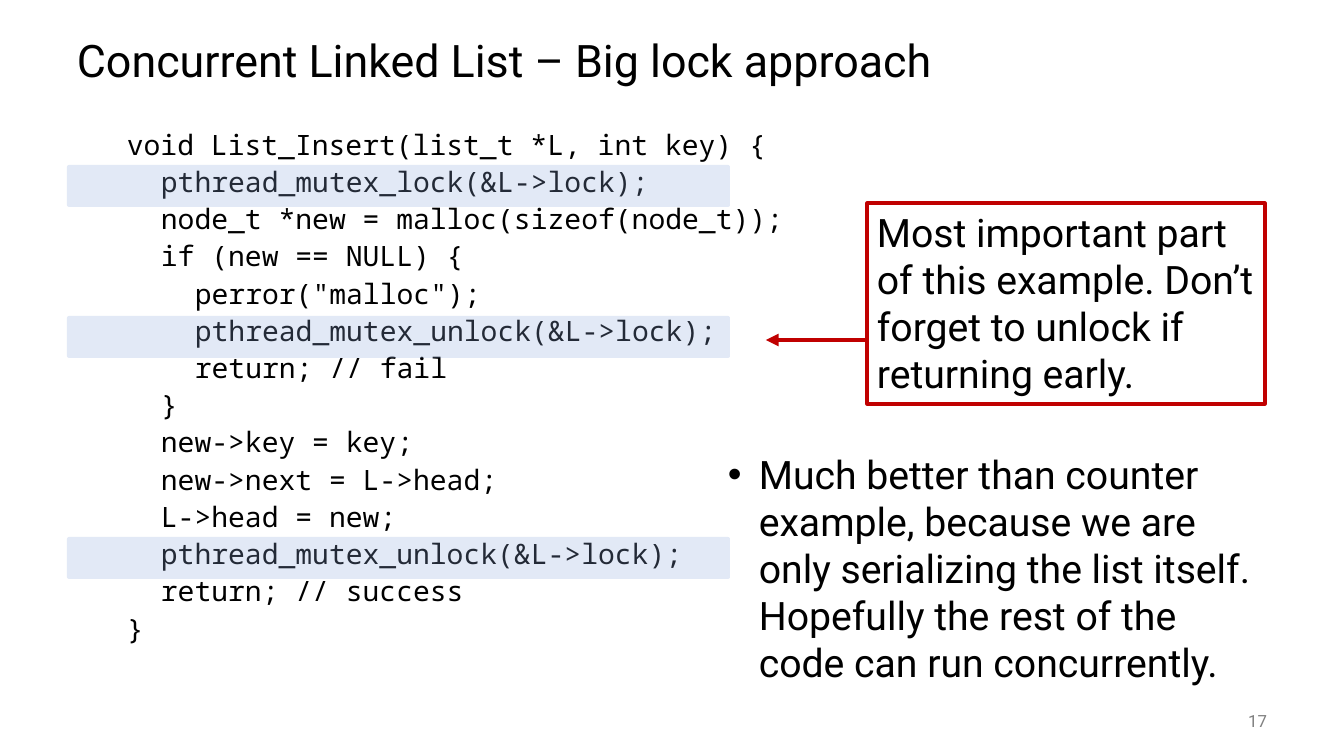
from lxml.etree import SubElement as Sub
from pptx import Presentation as Deck
from pptx.dml.color import RGBColor as RGB
from pptx.enum.shapes import MSO_CONNECTOR as Con, MSO_SHAPE as Geo
from pptx.enum.text import MSO_ANCHOR as Anchor, PP_ALIGN as Align
from pptx.oxml.ns import qn
from pptx.util import Pt

TITLE = "Concurrent Linked List – Big lock approach"
CODE = [
    (0, "void List_Insert(list_t *L, int key) {"),
    (1, "pthread_mutex_lock(&L->lock);"),
    (1, "node_t *new = malloc(sizeof(node_t));"),
    (1, "if (new == NULL) {"),
    (2, 'perror("malloc");'),
    (2, "pthread_mutex_unlock(&L->lock);"),
    (2, "return; // fail"),
    (1, "}"),
    (1, "new->key = key;"),
    (1, "new->next = L->head;"),
    (1, "L->head = new;"),
    (1, "pthread_mutex_unlock(&L->lock);"),
    (1, "return; // success"),
    (0, "}"),
]
ALERT = ("Most important part of this example. Don’t forget to unlock "
         "if returning early.")
POINT = ("Much better than counter example, because we are only serializing "
         "the list itself. Hopefully the rest of the code can run concurrently.")
PAGE = "17"
LOCKS = (165, 316, 537)

SANS, MONO = "Roboto", "Noto Sans Mono"
BLACK = RGB(0, 0, 0)
GRAY = RGB(128, 128, 128)
RED = RGB(192, 0, 0)
BLUE = RGB(143, 170, 220)

LEFT, WIDE = 67, 1210
BASE, STEP = 50, 34
HANG = 31


def px(n):
    return round(n * 914400 / 100.8)


def write(para, text, size, font=SANS, color=BLACK):
    run = para.add_run()
    run.text = text
    run.font.size = Pt(size)
    run.font.name = font
    run.font.color.rgb = color


def box(x, y, w, h, anchor=Anchor.TOP):
    item = slide.shapes.add_textbox(px(x), px(y), px(w), px(h))
    frame = item.text_frame
    frame.word_wrap = True
    frame.vertical_anchor = anchor
    return item, frame


def indent(para, left, first=0):
    props = para._p.get_or_add_pPr()
    props.set("marL", str(px(left)))
    props.set("indent", str(px(first)))
    return props


deck = Deck()
deck.slide_width, deck.slide_height = px(1344), px(756)
slide = deck.slides.add_slide(deck.slide_layouts[6])

_, frame = box(LEFT, 25, WIDE, 76, Anchor.MIDDLE)
para = frame.paragraphs[0]
para.line_spacing = 0.9
write(para, TITLE, 32)

_, frame = box(LEFT, 126, WIDE, 554)
for row, (depth, text) in enumerate(CODE):
    para = frame.add_paragraph() if row else frame.paragraphs[0]
    para.line_spacing = 0.9
    para.space_before = Pt(5)
    indent(para, BASE + depth * STEP)
    write(para, text, 20, MONO)

_, frame = box(1176, 701, 101, 40, Anchor.MIDDLE)
para = frame.paragraphs[0]
para.alignment = Align.RIGHT
write(para, PAGE, 12, color=GRAY)

for top in LOCKS:
    bar = slide.shapes.add_shape(
        Geo.ROUNDED_RECTANGLE, px(LEFT), px(top), px(663), px(42))
    bar.adjustments[0] = 0.05
    bar.shadow.inherit = False
    bar.line.fill.background()
    bar.fill.solid()
    bar.fill.fore_color.rgb = BLUE
    tint = bar.fill._xPr.find(qn("a:solidFill"))[0]
    Sub(tint, qn("a:alpha"), val="25000")

alert, frame = box(867, 203, 398, 201)
alert.line.color.rgb = RED
alert.line.width = Pt(2.25)
write(frame.paragraphs[0], ALERT, 28)

arrow = slide.shapes.add_connector(
    Con.STRAIGHT, px(867), px(340), px(766), px(340))
arrow.line.color.rgb = RED
arrow.line.width = Pt(3)
Sub(arrow.line._get_or_add_ln(), qn("a:tailEnd"), type="triangle")
Sub(arrow._element.spPr, qn("a:effectLst"))

_, frame = box(718, 445, 547, 248)
para = frame.paragraphs[0]
props = indent(para, HANG, -HANG)
Sub(props, qn("a:buFont"), typeface="Arial")
Sub(props, qn("a:buChar"), char="•")
write(para, POINT, 28)

deck.save("out.pptx")
